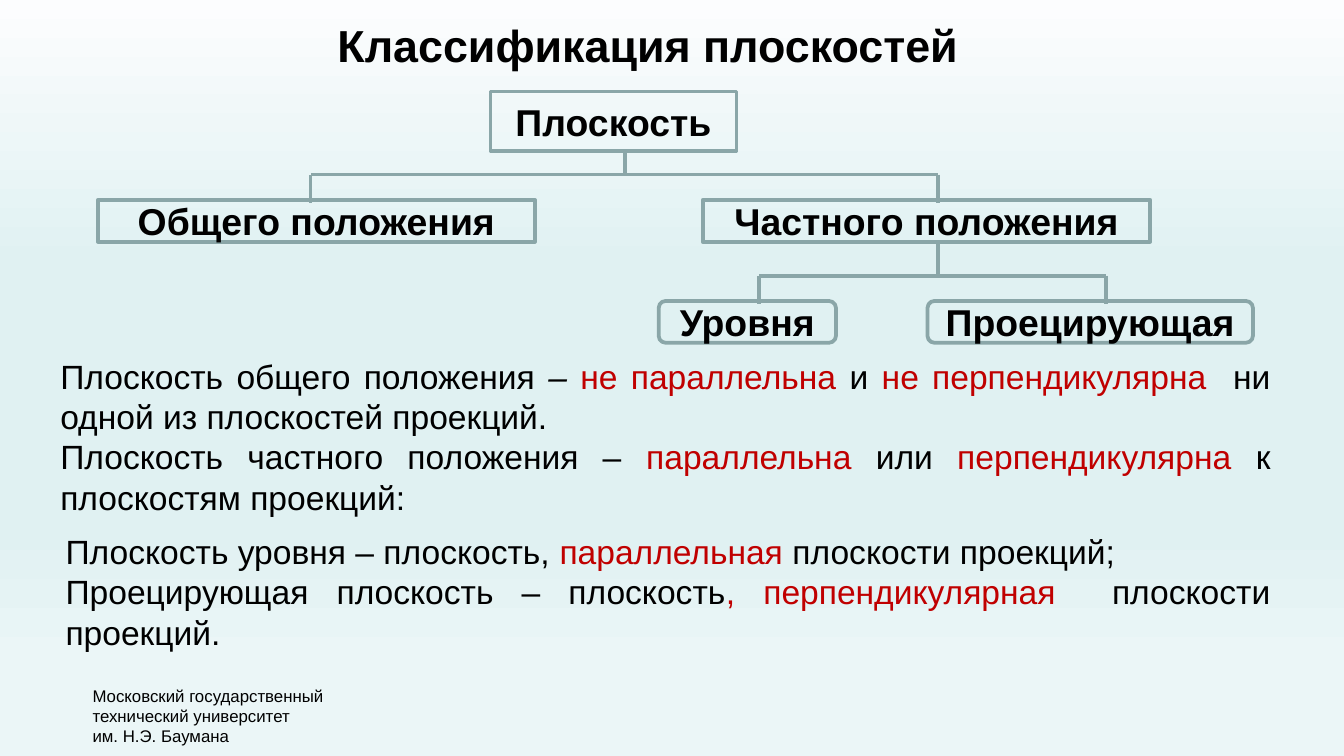
from copy import deepcopy
from dataclasses import dataclass

from pptx import Presentation
from pptx.dml.color import RGBColor
from pptx.enum.shapes import MSO_CONNECTOR, MSO_SHAPE
from pptx.enum.text import MSO_ANCHOR, MSO_AUTO_SIZE, PP_ALIGN
from pptx.oxml.ns import qn
from pptx.oxml.xmlchemy import OxmlElement
from pptx.util import Cm, Pt

RECT, ROUND = MSO_SHAPE.RECTANGLE, MSO_SHAPE.ROUNDED_RECTANGLE
LINE = MSO_CONNECTOR.STRAIGHT
LEFT, MID, BOTH = PP_ALIGN.LEFT, PP_ALIGN.CENTER, PP_ALIGN.JUSTIFY
TOP, HALF = MSO_ANCHOR.TOP, MSO_ANCHOR.MIDDLE
GROW = MSO_AUTO_SIZE.SHAPE_TO_FIT_TEXT
TITLE_ONLY = 5


@dataclass(frozen=True)
class Theme:
    font: str = "Arial"
    ink: str = "000000"
    red: str = "C00000"
    edge: str = "8AA6A8"
    stroke: float = 2
    head: int = 24
    node: int = 20
    body: int = 18
    small: int = 9
    back: tuple = ((0, "FCFDFE"), (0.35, "E0F1F2"), (0.69, "E0F1F2"),
                   (0.88, "EBF6F7"), (1, "EBF6F7"))


class Page:
    def __init__(self, deck, theme):
        self.theme = theme
        self.slide = deck.slides.add_slide(deck.slide_layouts[TITLE_ONLY])
        self.shapes = self.slide.shapes

    def paint(self):
        """Fill the background with the theme's gradient, top to bottom."""
        fill = self.slide.background.fill
        fill.gradient()
        fill.gradient_angle = 270
        stops = self.slide.element.find(".//" + qn("a:gsLst"))
        while len(stops) < len(self.theme.back):
            stops.append(deepcopy(stops[0]))
        for stop, (pos, color) in zip(fill.gradient_stops, self.theme.back):
            stop.position = pos
            stop.color.rgb = RGBColor.from_string(color)

    def style(self, run, size, color=None, bold=False, italic=False):
        font = run.font
        font.name, font.size = self.theme.font, Pt(size)
        font.bold, font.italic = bold, italic
        font.color.rgb = RGBColor.from_string(color or self.theme.ink)

    def label(self, frame, text, size, bold=False, align=LEFT):
        frame.text = text
        for para in frame.paragraphs:
            para.alignment = align
            for run in para.runs:
                self.style(run, size, bold=bold)

    def title(self, text, x, y, w, h):
        shape = self.shapes.title
        shape.left, shape.top, shape.width, shape.height = map(Cm, (x, y, w, h))
        frame = shape.text_frame
        frame.auto_size, frame.vertical_anchor = GROW, TOP
        self.label(frame, text, self.theme.head, True, MID)

    def frame(self, x, y, w, h, wrap=True):
        frame = self.shapes.add_textbox(*map(Cm, (x, y, w, h))).text_frame
        frame.word_wrap, frame.auto_size = wrap, GROW
        return frame

    def prose(self, paras, x, y, w, h):
        """Justified paragraphs, each a list of (text, kind) pieces."""
        frame = self.frame(x, y, w, h)
        for i, pieces in enumerate(paras):
            para = frame.add_paragraph() if i else frame.paragraphs[0]
            para.alignment = BOTH
            for text, kind in pieces:
                run = para.add_run()
                run.text = text
                color = self.theme.red if kind == "red" else None
                self.style(run, self.theme.body, color, italic=kind == "slant")

    def note(self, text, x, y, w, h):
        self.label(self.frame(x, y, w, h, False), text, self.theme.small)

    def node(self, text, x, y, w, h, kind=RECT):
        shape = self.shapes.add_shape(kind, *map(Cm, (x, y, w, h)))
        shape.shadow.inherit = False
        shape.fill.background()
        self.stroke(shape)
        frame = shape.text_frame
        frame.word_wrap, frame.vertical_anchor = False, HALF
        self.label(frame, text, self.theme.node, True, MID)

    def stroke(self, shape):
        shape.line.color.rgb = RGBColor.from_string(self.theme.edge)
        shape.line.width = Pt(self.theme.stroke)

    def line(self, *ends):
        link = self.shapes.add_connector(LINE, *map(Cm, ends))
        self.stroke(link)
        link.element.spPr.append(OxmlElement("a:effectLst"))

    def fork(self, trunk, top, rail, foot, ends):
        """A trunk down to a rail, with a drop at each end of the rail."""
        self.line(trunk, top, trunk, rail)
        for x in ends:
            self.line(trunk, rail, x, rail)
            self.line(x, rail, x, foot)


def main():
    deck = Presentation()
    deck.slide_width, deck.slide_height = Cm(25.4), Cm(14.29)
    page = Page(deck, Theme())
    page.paint()

    # Heading
    page.title("Классификация плоскостей", 4.24, 0.2, 16, 1.3)

    # Tree: links, then nodes
    page.fork(11.81, 2.82, 3.3, 3.84, (5.87, 17.73))
    page.fork(17.73, 4.57, 5.21, 5.74, (14.35, 20.9))
    page.node("Плоскость", 9.27, 1.73, 4.65, 1.12)
    for text, x, y, w, kind in (
        ("Общего положения", 1.85, 3.78, 8.26, RECT),
        ("Частного положения", 13.28, 3.78, 8.46, RECT),
        ("Уровня", 12.45, 5.69, 3.35, ROUND),
        ("Проецирующая", 17.53, 5.69, 6.15, ROUND),
    ):
        page.node(text, x, y, w, 0.79, kind)

    # Definitions
    page.prose([
        [("Плоскость общего положения ", "ink"), ("–", "slant"),
         (" не параллельна ", "red"), ("и", "ink"),
         (" не перпендикулярна  ", "red"),
         ("ни одной из плоскостей проекций.", "ink")],
        [("Плоскость частного положения – ", "ink"), ("параллельна ", "red"),
         ("или", "ink"), (" перпендикулярна ", "red"),
         ("к плоскостям проекций:", "ink")],
    ], 0.89, 6.6, 23.37, 3.33)
    page.prose([
        [("Плоскость уровня – плоскость, ", "ink"), ("параллельная ", "red"),
         ("плоскости проекций;", "ink")],
        [("Проецирующая плоскость – плоскость", "ink"),
         (", перпендикулярная  ", "red"), ("плоскости проекций.", "ink")],
    ], 0.99, 9.91, 23.27, 2.57)

    # Footer
    page.note("Московский государственный\nтехнический университет\n"
              "им. Н.Э. Баумана", 1.5, 12.83, 5.03, 1.4)

    deck.save("out.pptx")


if __name__ == "__main__":
    main()
